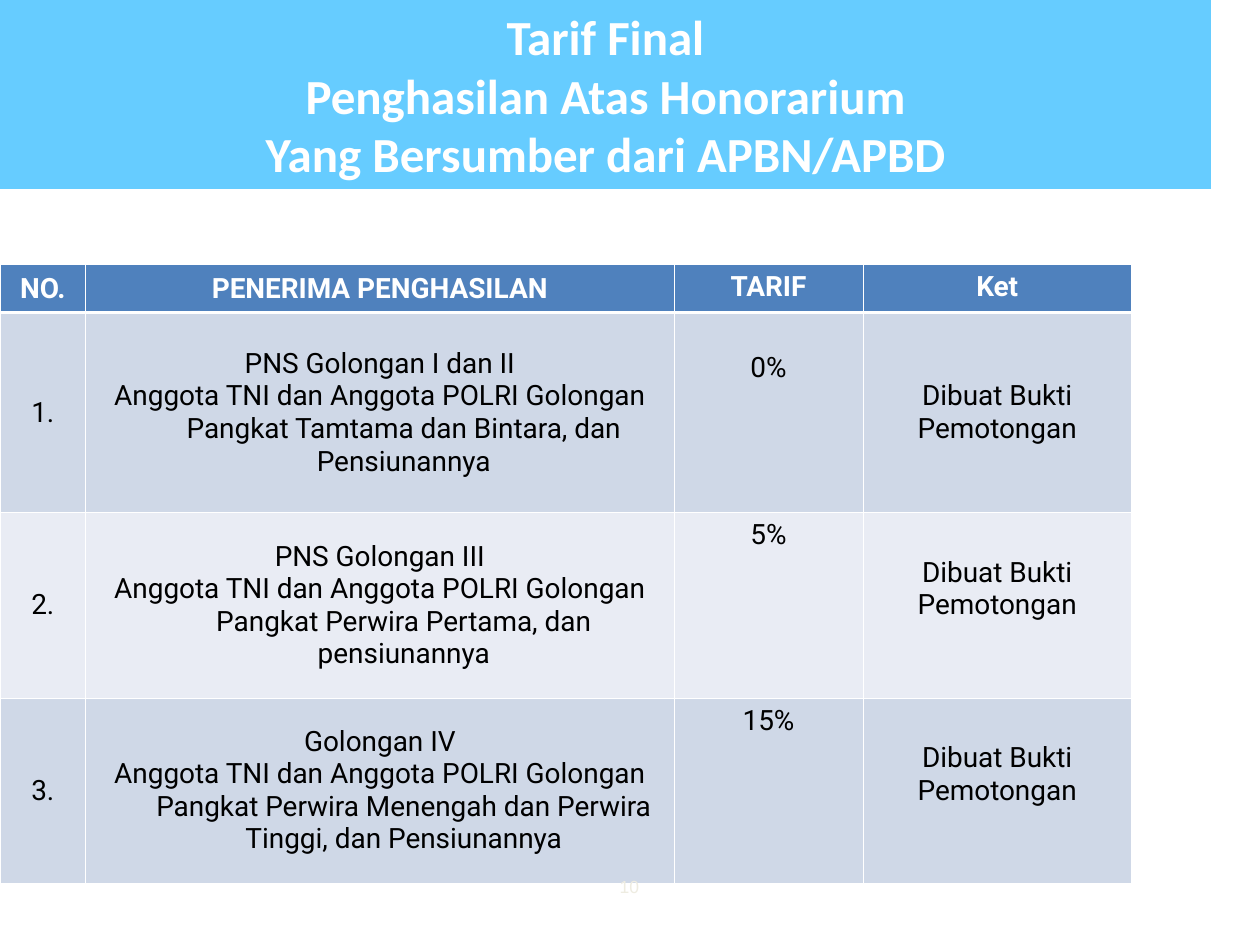
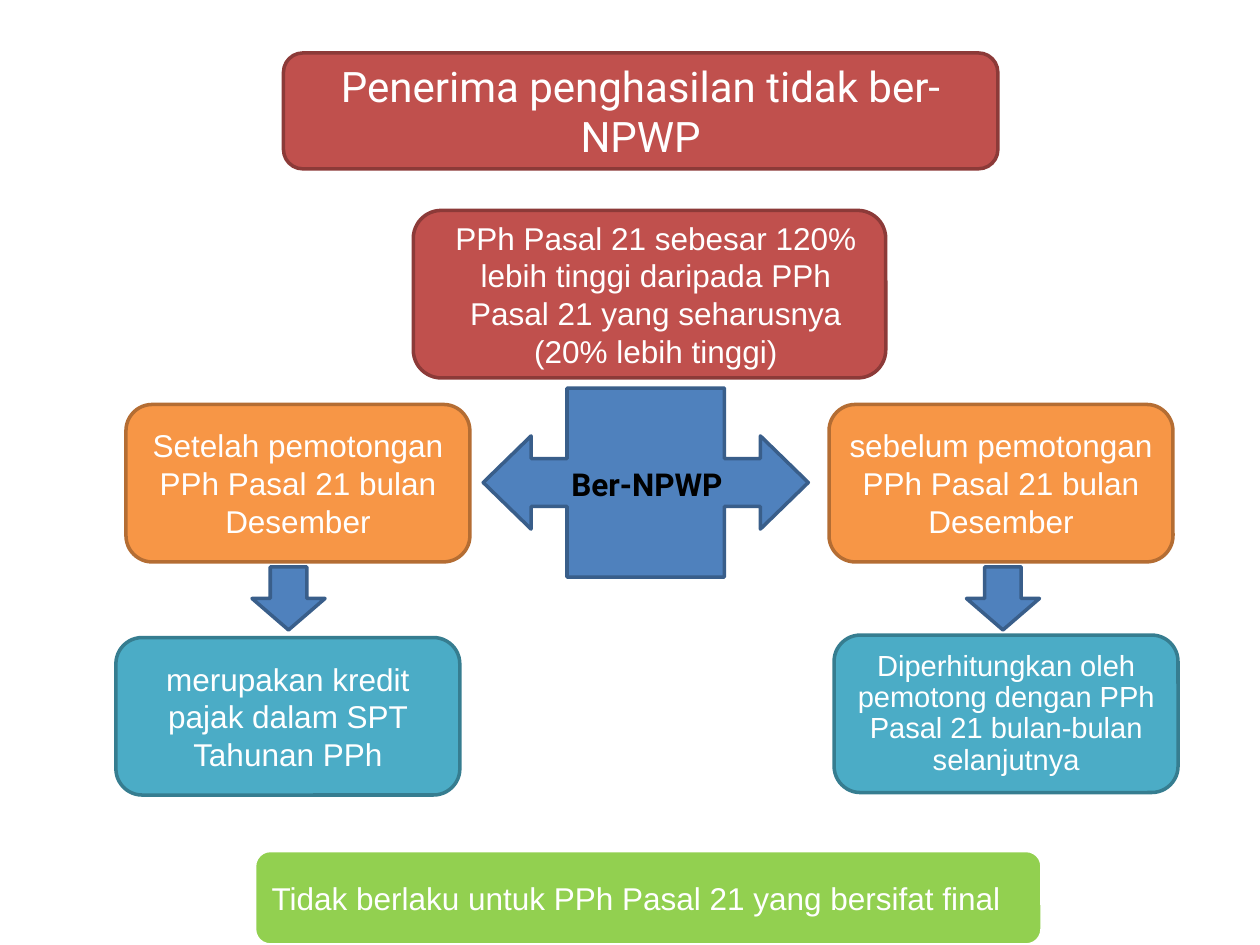
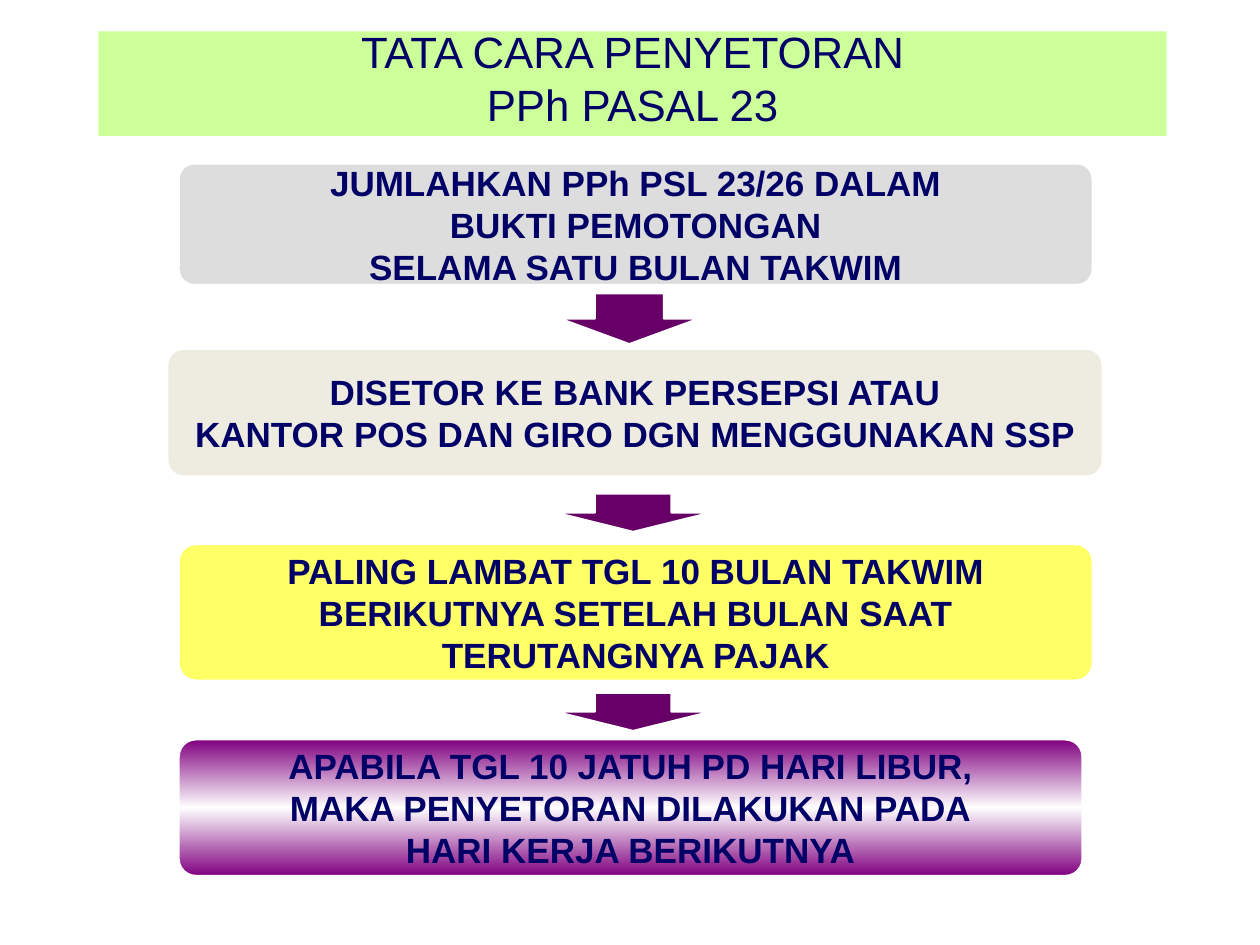
from copy import deepcopy
from dataclasses import dataclass
from typing import Optional

from pptx import Presentation
from pptx import util as u
from pptx.dml.color import RGBColor
from pptx.enum import shapes, text
from pptx.oxml import parse_xml
from pptx.oxml.ns import nsdecls, qn

Inches, Pt = u.Inches, u.Pt
MIDDLE, TOP, BOTTOM = text.MSO_ANCHOR.MIDDLE, text.MSO_ANCHOR.TOP, text.MSO_ANCHOR.BOTTOM
CENTER, LEFT = text.PP_ALIGN.CENTER, text.PP_ALIGN.LEFT
RECT = shapes.MSO_SHAPE.RECTANGLE
ROUNDED = shapes.MSO_SHAPE.ROUNDED_RECTANGLE
DOWN = shapes.MSO_SHAPE.DOWN_ARROW


@dataclass(frozen=True)
class Theme:
    white: str = "FFFFFF"
    black: str = "000000"
    navy: str = "000066"
    sky: str = "66CCFF"
    lime: str = "CCFF99"
    blue: str = "4F81BD"
    blue_edge: str = "395E8A"
    red: str = "C0504D"
    red_edge: str = "8C3A38"
    orange: str = "F79646"
    orange_edge: str = "B46D33"
    teal: str = "4BACC6"
    teal_edge: str = "367D90"
    green: str = "92D050"
    gray: str = "DDDDDD"
    cream: str = "EEECE1"
    yellow: str = "FFFF66"
    plum: str = "660066"
    purple: str = "800080"
    bands: tuple = ("CFD8E7", "E9ECF4")
    title: float = 28
    heading: float = 24
    step_title: float = 25
    step: float = 20
    body: float = 18
    tight: float = 16.6
    cell: float = 16
    number: float = 10


T = Theme()


@dataclass(frozen=True)
class Style:
    size: float = T.body
    font: str = "Arial"
    color: str = T.white
    bold: bool = False
    align: text.PP_ALIGN = CENTER
    left: float = 0
    hanging: float = 0
    spacing: Optional[float] = None


@dataclass(frozen=True)
class Box:
    left: float
    top: float
    width: float
    height: float
    fill: str | tuple
    edge: Optional[str] = None
    weight: float = 2
    lines: tuple = ()
    style: Style = Style()
    kind: shapes.MSO_SHAPE = ROUNDED
    corner: float = 0.167
    anchor: text.MSO_ANCHOR = MIDDLE
    wrap: bool = True
    breaks: bool = False


def rgb(value: str) -> RGBColor:
    return RGBColor.from_string(value)


# Shared drawing functions
def write(frame, lines: tuple, style: Style, breaks: bool = False) -> None:
    """Write lines as paragraphs, or as one paragraph with line breaks."""
    for index, line in enumerate(lines):
        if index and breaks:
            paragraph.add_line_break()
        else:
            paragraph = frame.add_paragraph() if index else frame.paragraphs[0]
            paragraph.alignment = style.align
            if style.spacing:
                paragraph.line_spacing = style.spacing
            if style.left:
                properties = paragraph._p.get_or_add_pPr()
                properties.set("marL", str(Inches(style.left)))
                properties.set("indent", str(Inches(-style.hanging)))
        run = paragraph.add_run()
        run.text = line
        font = run.font
        font.size, font.name, font.bold = Pt(style.size), style.font, style.bold
        font.color.rgb = rgb(style.color)


def paint(shape, fill: str | tuple, edge: Optional[str], weight: float) -> None:
    shape.shadow.inherit = False
    if isinstance(fill, tuple):
        shape.fill.gradient()
        shape.fill.gradient_angle = 90
        stops = shape._element.spPr.find(".//" + qn("a:gsLst"))
        while len(stops) < len(fill):
            stops.append(deepcopy(stops[0]))
        for index, stop in enumerate(shape.fill.gradient_stops):
            stop.position = index / (len(fill) - 1)
            stop.color.rgb = rgb(fill[index])
    else:
        shape.fill.solid()
        shape.fill.fore_color.rgb = rgb(fill)
    if edge:
        shape.line.color.rgb = rgb(edge)
        shape.line.width = Pt(weight)
    else:
        shape.line.fill.background()


def draw_box(slide, box: Box) -> None:
    shape = slide.shapes.add_shape(box.kind, Inches(box.left), Inches(box.top),
                                   Inches(box.width), Inches(box.height))
    if box.kind == ROUNDED:
        shape.adjustments[0] = box.corner
    paint(shape, box.fill, box.edge, box.weight)
    frame = shape.text_frame
    frame.word_wrap, frame.vertical_anchor = box.wrap, box.anchor
    write(frame, box.lines, box.style, box.breaks)


def draw_label(slide, left: float, top: float, width: float, height: float,
               line: str, style: Style, anchor: text.MSO_ANCHOR) -> None:
    frame = slide.shapes.add_textbox(Inches(left), Inches(top),
                                     Inches(width), Inches(height)).text_frame
    frame.word_wrap, frame.vertical_anchor = True, anchor
    write(frame, (line,), style)


def border(cell, **weights: float) -> None:
    properties = cell._tc.get_or_add_tcPr()
    for index, side in enumerate("LRTB"):
        properties.insert(index, parse_xml(
            f'<a:ln{side} {nsdecls("a")} w="{Pt(weights.get(side, 0.45))}"><a:solidFill>'
            f'<a:srgbClr val="{T.white}"/></a:solidFill></a:ln{side}>'))


# Slide 1: final rates
RATE_COLUMNS = (0.68, 4.67, 1.5, 2.13)
RATE_ROWS = (0.38, 1.59, 1.47, 1.47)
CORPS = "Anggota TNI dan Anggota POLRI Golongan Pangkat "
SLIP = ("Dibuat Bukti", "Pemotongan")
RATES = (
    (("NO.",), ("PENERIMA PENGHASILAN",), ("TARIF",), ("Ket",)),
    (("1.",), ("PNS Golongan I dan II", CORPS + "Tamtama dan Bintara, dan Pensiunannya"),
     ("0%",), SLIP),
    (("2.",), ("PNS Golongan III", CORPS + "Perwira Pertama, dan pensiunannya"),
     ("5%",), SLIP),
    (("3.",), ("Golongan IV",
               CORPS + "Perwira Menengah dan Perwira Tinggi, dan Pensiunannya"),
     ("15%",), SLIP),
)
LOWERED = 0.31  # cell margin that moves a text by one line


def rates_slide(slide) -> None:
    draw_box(slide, Box(0, 0, 9.61, 1.5, T.sky, kind=RECT, breaks=True,
                        lines=("Tarif Final", "Penghasilan Atas Honorarium",
                               "Yang Bersumber dari APBN/APBD"),
                        style=Style(T.title, "Calibri", bold=True)))
    table = slide.shapes.add_table(
        len(RATES), len(RATE_COLUMNS), Inches(0), Inches(2.1),
        Inches(sum(RATE_COLUMNS)), Inches(sum(RATE_ROWS))).table
    for column, width in zip(table.columns, RATE_COLUMNS):
        column.width = Inches(width)
    for row, height in zip(table.rows, RATE_ROWS):
        row.height = Inches(height)

    header = Style(T.cell, "Roboto", bold=True)
    body = Style(T.cell, "Roboto", T.black, left=0.38, hanging=0.38)
    for r, entries in enumerate(RATES):
        for c, lines in enumerate(entries):
            cell = table.cell(r, c)
            cell.fill.solid()
            cell.fill.fore_color.rgb = rgb(T.bands[(r - 1) % 2] if r else T.blue)
            at_top = c == 2 or (r == 0 and c == 3)
            cell.vertical_anchor = TOP if at_top else MIDDLE
            if (r, c) == (1, 2):
                cell.margin_top = Inches(LOWERED)
            if r > 1 and c == 3:
                cell.margin_bottom = Inches(LOWERED)
            border(cell, **{0: {"B": 1.47}, 1: {"T": 1.47}}.get(r, {}))
            write(cell.text_frame, lines, body if r else header)
    draw_label(slide, 4.36, 6.84, 1.27, 0.39, "10", Style(T.number, color=T.cream), MIDDLE)


# Slide 2: recipients with and without a tax number
NPWP_BOXES = (
    Box(2.25, 0.42, 5.67, 0.92, T.red, T.red_edge,
        lines=("Penerima penghasilan tidak ber-NPWP",), style=Style(T.heading, "Roboto")),
    Box(3.28, 1.67, 3.75, 1.33, T.red, T.red_edge, style=Style(left=0.1),
        lines=("PPh Pasal 21 sebesar 120% lebih tinggi daripada PPh Pasal 21 "
               "yang seharusnya (20% lebih tinggi)",)),
    Box(2.02, 6.75, 6.25, 0.75, T.green, T.white, style=Style(align=LEFT),
        lines=("Tidak berlaku untuk PPh Pasal 21 yang bersifat final",)),
    Box(1, 3.21, 2.73, 1.25, T.orange, T.orange_edge,
        lines=("Setelah pemotongan PPh Pasal 21 bulan Desember",)),
    Box(6.58, 3.21, 2.73, 1.25, T.orange, T.orange_edge,
        lines=("sebelum pemotongan PPh Pasal 21 bulan Desember",)),
    Box(6.62, 5.04, 2.73, 1.25, T.teal, T.teal_edge, style=Style(T.tight, spacing=0.9),
        lines=("Diperhitungkan oleh pemotong dengan PPh Pasal 21 bulan-bulan selanjutnya",)),
    Box(0.92, 5.06, 2.73, 1.25, T.teal, T.teal_edge,
        lines=("merupakan kredit pajak dalam SPT Tahunan PPh",)),
    *(Box(left, 4.5, 0.58, 0.5, T.blue, T.blue_edge, kind=DOWN) for left in (2, 7.67)),
)


def draw_fork(slide, center_x: float, center_y: float) -> None:
    """Draw a block with an arrow on both sides, symmetric about its centre."""
    upper = [(0.625, -0.75), (0.625, -0.19), (0.91, -0.19), (0.91, -0.37)]
    right = upper + [(1.29, 0)] + [(x, -y) for x, y in reversed(upper)]
    outline = right + [(-x, -y) for x, y in right]
    points = [(Inches(center_x + x), Inches(center_y + y)) for x, y in outline]
    builder = slide.shapes.build_freeform(*points[0])
    builder.add_line_segments(points[1:], close=True)
    paint(builder.convert_to_shape(), T.blue, T.blue_edge, 2)


def npwp_slide(slide) -> None:
    for box in NPWP_BOXES:
        draw_box(slide, box)
    draw_fork(slide, 5.125, 3.83)
    draw_label(slide, 4.05, 3.64, 2.17, 0.4, "Ber-NPWP",
               Style(T.body, "Roboto", T.black, True), TOP)


# Slide 3: payment steps
def step(left: float, top: float, width: float, height: float,
         fill: str | tuple, *lines: str) -> Box:
    return Box(left, top, width, height, fill, T.white, 1, lines,
               Style(T.step, color=T.navy, bold=True), corner=0.125, wrap=False)


def step_arrow(left: float, top: float, width: float, height: float) -> Box:
    return Box(left, top, width, height, T.plum, T.white, 1, kind=DOWN)


PAYMENT_STEPS = (
    Box(0.78, 0.25, 8.48, 0.83, T.lime, kind=RECT, anchor=BOTTOM, breaks=True,
        lines=("TATA CARA PENYETORAN", "PPh PASAL 23"),
        style=Style(T.step_title, color=T.navy)),
    step(1.42, 1.3, 7.25, 0.96, T.gray, "JUMLAHKAN PPh PSL 23/26 DALAM",
         "BUKTI PEMOTONGAN", "SELAMA SATU BULAN TAKWIM"),
    step_arrow(4.45, 2.33, 1.09, 0.4),
    step(1.33, 2.77, 7.42, 1.01, T.cream, "DISETOR KE BANK PERSEPSI ATAU",
         "KANTOR POS DAN GIRO DGN MENGGUNAKAN SSP"),
    step_arrow(4.42, 3.92, 1.21, 0.3),
    step(1.42, 4.32, 7.25, 1.08, T.yellow, "PALING LAMBAT TGL 10 BULAN TAKWIM",
         "BERIKUTNYA SETELAH BULAN SAAT", "TERUTANGNYA PAJAK"),
    step(1.42, 5.87, 7.17, 1.08, (T.purple, T.white, T.purple),
         "APABILA TGL 10 JATUH PD HARI LIBUR,", "MAKA PENYETORAN DILAKUKAN PADA",
         "HARI KERJA BERIKUTNYA"),
    step_arrow(4.42, 5.5, 1.21, 0.3),
)


def payment_slide(slide) -> None:
    for box in PAYMENT_STEPS:
        draw_box(slide, box)


def main() -> None:
    deck = Presentation()
    deck.slide_width, deck.slide_height = Inches(10), Inches(7.5)
    for fill_slide in (rates_slide, npwp_slide, payment_slide):
        fill_slide(deck.slides.add_slide(deck.slide_layouts[6]))
    deck.save("out.pptx")


if __name__ == "__main__":
    main()
